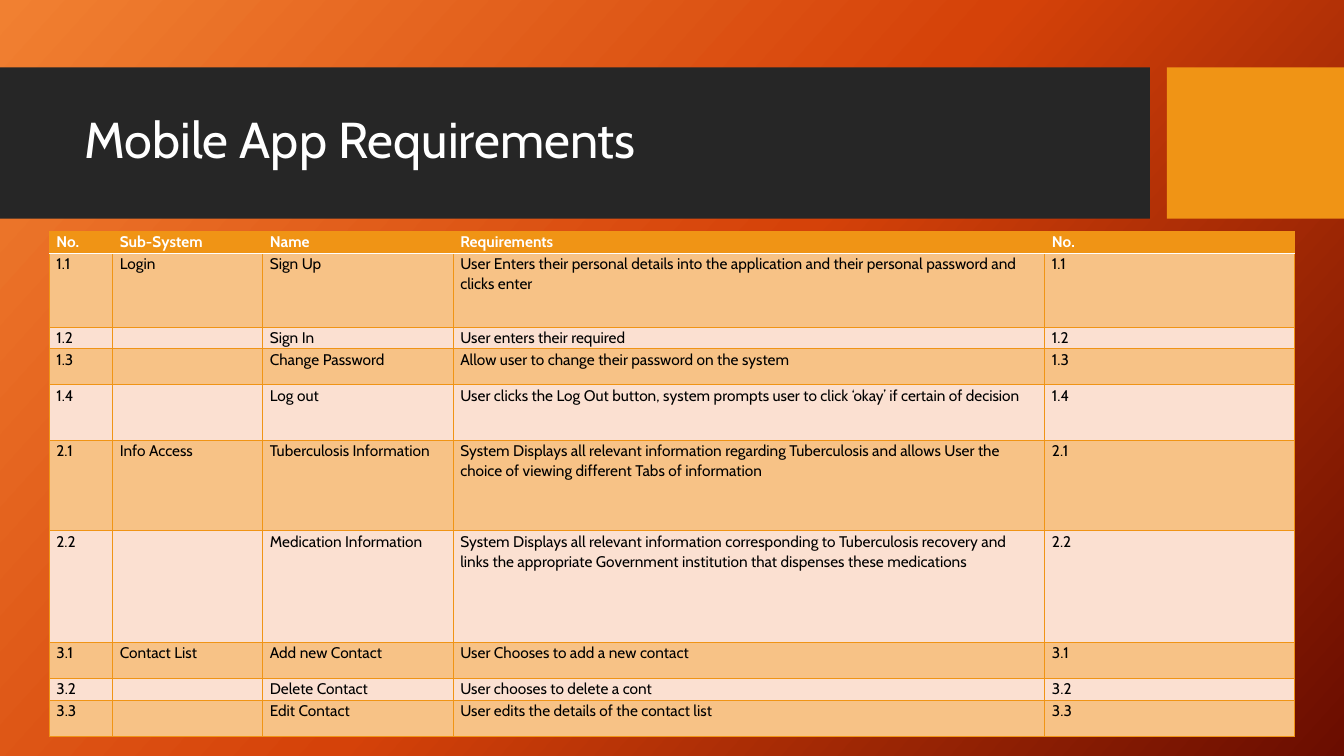
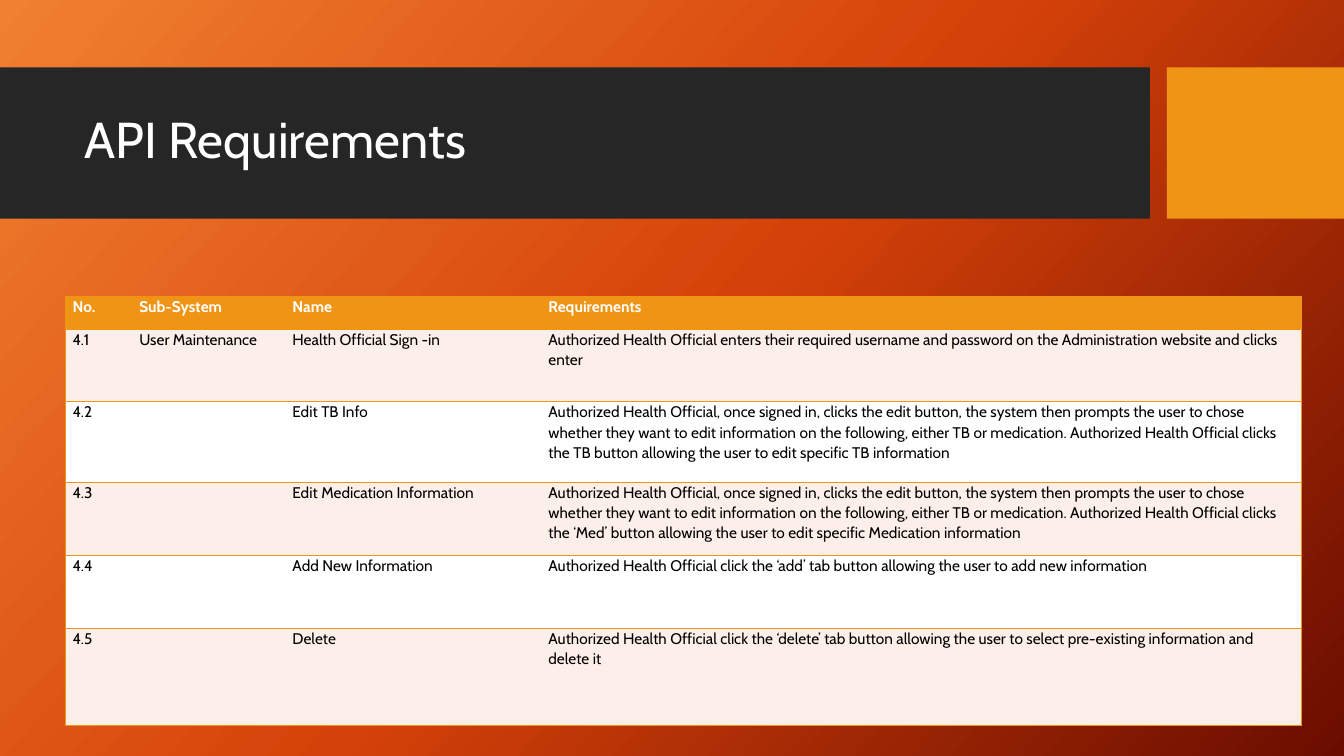
from copy import deepcopy

from lxml.etree import SubElement
from pptx import Presentation
from pptx.dml.color import RGBColor
from pptx.enum.shapes import MSO_SHAPE
from pptx.enum.text import MSO_ANCHOR
from pptx.oxml.ns import qn
from pptx.util import Cm, Pt

FONT = "Cabin"
DARK, GOLD, WHITE, BLACK = "262626", "F09415", "FFFFFF", "000000"
GLOW = [(0, "F18031"), (0.5, "D54209"), (1, "6A0D00")]
BANDS = [(0, 28.98, DARK), (29.41, 4.46, GOLD)]
HEAD = ["No.", "Sub-System", "Name", "Requirements"]
EDIT = (
    "Authorized Health Official, once signed in, clicks the edit button, the system then "
    "prompts the user to chose whether they want to edit information on the following, either "
    "TB or medication. Authorized Health Official clicks the {} button allowing the user to "
    "edit specific {} information"
)

MOBILE = [
    HEAD,
    ["1.1", "Login", "Sign Up", "User Enters their personal details into the application "
     "and their personal password and clicks enter"],
    ["1.2", "", "Sign In", "User enters their required"],
    ["1.3", "", "Change Password", "Allow user to change their password on the system"],
    ["1.4", "", "Log out", "User clicks the Log Out button, system prompts user to click "
     "‘okay’ if certain of decision"],
    ["2.1", "Info Access", "Tuberculosis Information", "System Displays all relevant "
     "information regarding Tuberculosis and allows User the choice of viewing different "
     "Tabs of information"],
    ["2.2", "", "Medication Information", "System Displays all relevant information "
     "corresponding to Tuberculosis recovery and links the appropriate Government "
     "institution that dispenses these medications"],
    ["3.1", "Contact List", "Add new Contact", "User Chooses to add a new contact"],
    ["3.2", "", "Delete Contact", "User chooses to delete a cont"],
    ["3.3", "", "Edit Contact", "User edits the details of the contact list"],
]
API = [
    HEAD,
    ["4.1", "User Maintenance", "Health Official Sign -in", "Authorized Health Official "
     "enters their required username and password on the Administration website and clicks "
     "enter"],
    ["4.2", "", "Edit TB Info", EDIT.format("TB", "TB")],
    ["4.3", "", "Edit Medication Information", EDIT.format("‘Med’", "Medication")],
    ["4.4", "", "Add New Information", "Authorized Health Official click the ‘add’ tab "
     "button allowing the user to add new information"],
    ["4.5", "", "Delete", "Authorized Health Official click the ‘delete’ tab button "
     "allowing the user to select pre-existing information and delete it"],
]
PAGES = [
    {
        "title": "Mobile App Requirements",
        "rows": [row + row[:1] for row in MOBILE],
        "at": (1.24, 5.83),
        "wide": [1.6, 3.78, 4.8, 14.91, 6.3],
        "high": [0.55, 1.86, 0.55, 0.91, 1.39, 2.29, 2.8, 0.91, 0.55, 0.91],
        "tints": ["F7C286", "FBE0D1"],
        "line": 0.75, "inner": GOLD, "under": WHITE,
    },
    {
        "title": "API Requirements",
        "rows": API,
        "at": (1.65, 7.47),
        "wide": [1.68, 3.86, 6.45, 19.15],
        "high": [0.82, 1.83, 2.03, 1.84, 1.84, 2.46],
        "tints": ["FCEEE8", WHITE],
        "line": 1, "inner": None, "under": GOLD,
    },
]


def tint(code):
    return RGBColor.from_string(code)


def paint(item, code):
    item.fill.solid()
    item.fill.fore_color.rgb = tint(code)


def style(font, code, **look):
    font.color.rgb = tint(code)
    for key, value in {"name": FONT, **look}.items():
        setattr(font, key, value)


def glow(master):
    """Give every slide the three-stop background."""
    fill = master.background.fill
    fill.gradient()
    fill.gradient_angle = 318
    stops = master.element.find(".//" + qn("a:gsLst"))
    stops.insert(1, deepcopy(stops[0]))
    for stop, (place, code) in zip(fill.gradient_stops, GLOW):
        stop.position = place
        stop.color.rgb = tint(code)


def frame(slide, title):
    """Draw the two bands and the title."""
    for left, wide, code in BANDS:
        band = slide.shapes.add_shape(
            MSO_SHAPE.RECTANGLE, Cm(left), Cm(1.7), Cm(wide), Cm(3.81))
        band.shadow.inherit = False
        paint(band, code)
        band.line.fill.background()
    text = slide.shapes.add_textbox(Cm(1.88), Cm(2.08), Cm(26.7), Cm(3)).text_frame
    text.word_wrap = True
    text.vertical_anchor = MSO_ANCHOR.MIDDLE
    para = text.paragraphs[0]
    para.line_spacing = 0.9
    run = para.add_run()
    run.text = title
    style(run.font, WHITE, size=Pt(36))


def edge(cell, side, code, width):
    """Set one cell border; no code means no line."""
    line = SubElement(cell._tc.get_or_add_tcPr(), qn("a:ln" + side), w=str(Pt(width)))
    if code:
        fill = SubElement(line, qn("a:solidFill"))
        SubElement(fill, qn("a:srgbClr"), val=code)
    else:
        SubElement(line, qn("a:noFill"))


def write(cell, text, head):
    for key, value in {"margin_left": 0.18, "margin_right": 0.18,
                       "margin_top": 0, "margin_bottom": 0}.items():
        setattr(cell, key, Cm(value))
    para = cell.text_frame.paragraphs[0]
    para.line_spacing = 1.07
    if text:
        run = para.add_run()
        run.text = text
        style(run.font, WHITE if head else BLACK, size=Pt(11), bold=head)
    else:
        SubElement(para._p, qn("a:endParaRPr"), sz="1100")


def grid(slide, page):
    rows, wide, high = page["rows"], page["wide"], page["high"]
    sizes = (*page["at"], sum(wide), sum(high))
    table = slide.shapes.add_table(len(rows), len(wide), *map(Cm, sizes)).table
    for col, size in zip(table.columns, wide):
        col.width = Cm(size)
    for row, size in zip(table.rows, high):
        row.height = Cm(size)
    for r, row in enumerate(rows):
        for c, text in enumerate(row):
            cell = table.cell(r, c)
            write(cell, text, r == 0)
            sides = {
                "L": page["inner"] if c else GOLD,
                "R": page["inner"] if c < len(wide) - 1 else GOLD,
                "T": page["under"] if r == 1 else GOLD,
                "B": page["under"] if r == 0 else GOLD,
            }
            for side, code in sides.items():
                edge(cell, side, code, page["line"])
            paint(cell, page["tints"][(r - 1) % 2] if r else GOLD)


def main():
    deck = Presentation()
    deck.slide_width, deck.slide_height = Cm(33.87), Cm(19.05)
    glow(deck.slide_master)
    for page in PAGES:
        slide = deck.slides.add_slide(deck.slide_layouts[6])
        frame(slide, page["title"])
        grid(slide, page)
    deck.save("out.pptx")


if __name__ == "__main__":
    main()
